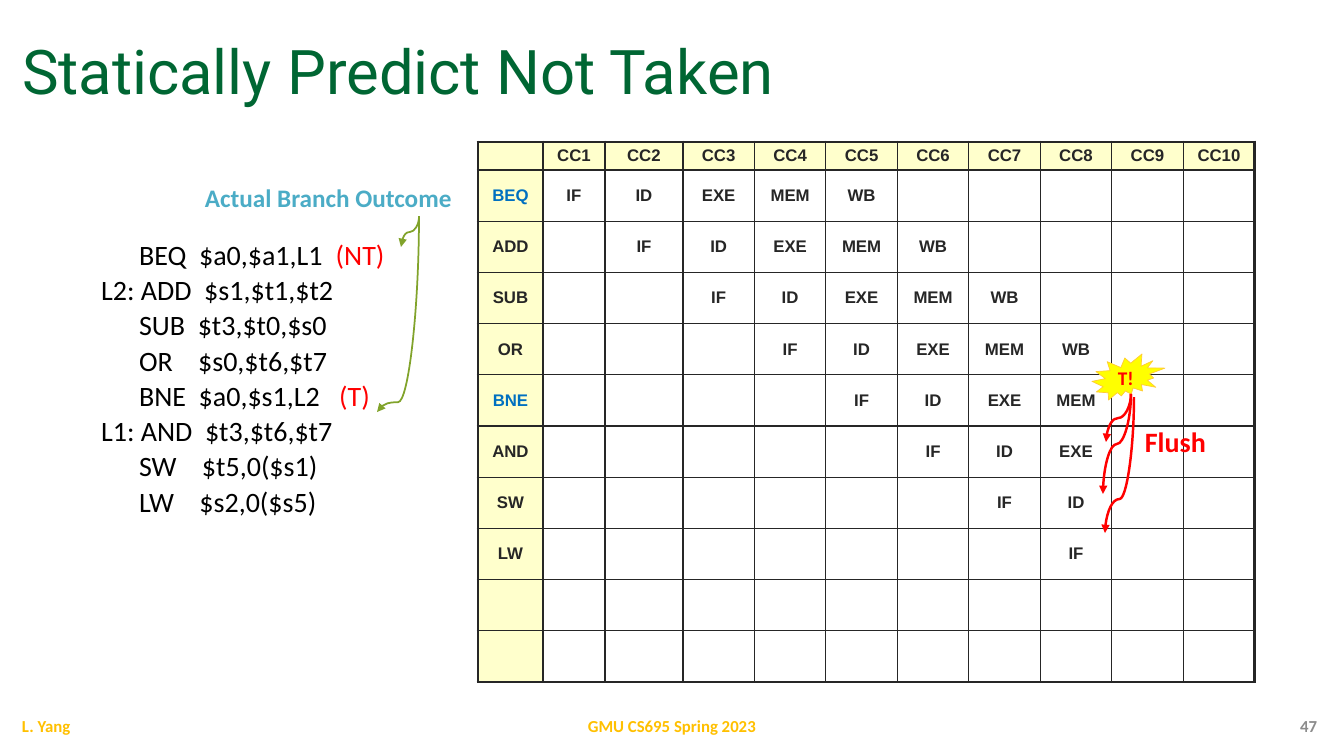
from dataclasses import dataclass

from lxml.etree import SubElement
from pptx import Presentation
from pptx.dml.color import RGBColor
from pptx.enum.shapes import MSO_CONNECTOR, MSO_SHAPE
from pptx.enum.text import MSO_ANCHOR, MSO_AUTO_SIZE, PP_ALIGN
from pptx.oxml.ns import qn
from pptx.util import Emu, Pt


@dataclass(frozen=True)
class Theme:
    title_font: str = "Roboto"
    body_font: str = "Calibri"
    table_font: str = "Arial"
    title: str = "006633"
    black: str = "000000"
    white: str = "FFFFFF"
    red: str = "FF0000"
    ink: str = "262626"
    branch: str = "0070C0"
    header: str = "FFFFCC"
    outcome: str = "4BACC6"
    green: str = "81A32B"
    burst: str = "FFFF00"
    burst_line: str = "FFCC33"
    gold: str = "FFC000"
    gray: str = "8C8C8C"
    title_size: float = 44
    code_size: float = 20
    label_size: float = 18
    burst_size: float = 13.8
    small_size: float = 12


T = Theme()
TITLE = "Statically Predict Not Taken"
CODE = [
    ("      BEQ  $a0,$a1,L1  ", "(NT)"),
    ("L2: ADD  $s1,$t1,$t2", ""),
    ("      SUB  $t3,$t0,$s0", ""),
    ("      OR    $s0,$t6,$t7", ""),
    ("      BNE  $a0,$s1,L2   ", "(T)"),
    ("L1: AND  $t3,$t6,$t7", ""),
    ("      SW    $t5,0($s1)", ""),
    ("      LW    $s2,0($s5)", ""),
]
INSTRUCTIONS = ["BEQ", "ADD", "SUB", "OR", "BNE", "AND", "SW", "LW", "", ""]
BRANCHES = ("BEQ", "BNE")
STAGES = ["IF", "ID", "EXE", "MEM", "WB"]
CYCLES, LAST_CYCLE = 10, 8

TABLE = (478, 142, 777, 540)
FIRST_COLS = [65, 62, 78]
HEADER_H = 28
LABELS = [
    ("Actual Branch Outcome", (195, 177, 269, 40), T.label_size, T.outcome, PP_ALIGN.LEFT, False),
    ("Flush", (1135, 420, 83, 45), T.code_size, T.red, PP_ALIGN.LEFT, False),
    ("L. Yang", (12, 706, 302, 40), T.small_size, T.gold, PP_ALIGN.LEFT, True),
    ("GMU CS695 Spring 2023", (445, 706, 454, 40), T.small_size, T.gold, PP_ALIGN.CENTER, True),
    ("47", (1025, 706, 302, 40), T.small_size, T.gray, PP_ALIGN.RIGHT, True),
]
OUTCOME_ARROWS = [
    ((419, 217), (401, 247), 50),
    ((419, 216), (377, 412), 95),
]
FLUSH_ARROWS = [
    ((1131, 394), (1106, 442), 50),
    ((1131, 394), (1103, 494), 50),
    ((1134, 397), (1105, 533), 75),
]


def px(n):
    return Emu(round(n * 9144000 / 1008))


def rgb(value):
    return RGBColor.from_string(value)


def style(r, size, color, font=T.body_font, bold=False):
    r.font.size = Pt(size)
    r.font.name = font
    r.font.bold = bold
    r.font.color.rgb = rgb(color)


def place(s, box):
    s.left, s.top, s.width, s.height = map(px, box)


def add_label(shapes, text, box, size, color, align, wrap):
    tf = shapes.add_textbox(*map(px, box)).text_frame
    tf.word_wrap = wrap
    tf.vertical_anchor = MSO_ANCHOR.MIDDLE if wrap else MSO_ANCHOR.TOP
    tf.text = text
    tf.paragraphs[0].alignment = align
    style(tf.paragraphs[0].runs[0], size, color, bold=True)


def add_curve(shapes, start, end, bend, color, width):
    (x1, y1), (x2, y2) = start, end
    cx, cy = (x1 + x2) / 2, (y1 + y2) / 2
    half_w, half_h = (y2 - y1) / 2, (x1 - x2) / 2
    s = shapes.add_connector(MSO_CONNECTOR.CURVE, px(cx - half_w), px(cy - half_h),
                             px(cx + half_w), px(cy + half_h))
    s.line.color.rgb = rgb(color)
    s.line.width = Pt(width)
    sp_pr = s._element.spPr
    sp_pr.find(qn("a:xfrm")).set("rot", "5400000")
    guides = sp_pr.find(qn("a:prstGeom")).find(qn("a:avLst"))
    SubElement(guides, qn("a:gd"), name="adj1", fmla=f"val {bend * 1000}")
    SubElement(sp_pr.find(qn("a:ln")), qn("a:tailEnd"), type="triangle")
    SubElement(sp_pr, qn("a:effectLst"))


def set_borders(cell, widths):
    tc_pr = cell._tc.get_or_add_tcPr()
    for side, width in widths.items():
        ln = SubElement(tc_pr, qn(f"a:ln{side}"), w=str(Pt(width)))
        SubElement(SubElement(ln, qn("a:solidFill")), qn("a:srgbClr"), val=T.ink)


def cell_text(row, col):
    if row == 0:
        return f"CC{col}" if col else ""
    if col == 0:
        return INSTRUCTIONS[row - 1]
    active = INSTRUCTIONS[row - 1] and col <= LAST_CYCLE
    return STAGES[col - row] if active and 0 <= col - row < len(STAGES) else ""


def add_pipeline(shapes):
    rows, cols = len(INSTRUCTIONS) + 1, CYCLES + 1
    table = shapes.add_table(rows, cols, *map(px, TABLE)).table
    rest = (TABLE[2] - sum(FIRST_COLS)) / (cols - len(FIRST_COLS))
    for c, column in enumerate(table.columns):
        column.width = px(FIRST_COLS[c] if c < len(FIRST_COLS) else rest)
    for r, row in enumerate(table.rows):
        row.height = px((TABLE[3] - HEADER_H) / (rows - 1) if r else HEADER_H)
        for c, cell in enumerate(row.cells):
            set_borders(cell, {
                "L": 1 if c else 2.25,
                "R": 2.25 if c == cols - 1 else 1,
                "T": 1 if r else 2.25,
                "B": 2.25 if r == rows - 1 else 1,
            })
            cell.fill.solid()
            cell.fill.fore_color.rgb = rgb(T.white if r and c else T.header)
            cell.margin_left = cell.margin_right = px(4)
            cell.margin_top = cell.margin_bottom = px(2)
            cell.vertical_anchor = MSO_ANCHOR.MIDDLE
            p = cell.text_frame.paragraphs[0]
            text = cell_text(r, c)
            p.alignment = PP_ALIGN.CENTER
            if text:
                p.text = text
                style(p.runs[0], T.small_size, T.branch if text in BRANCHES else T.ink,
                      T.table_font, True)
            else:
                SubElement(p._p, qn("a:endParaRPr"), sz=str(T.small_size * 100))


def add_code(s):
    place(s, (91, 236, 370, 300))
    tf = s.text_frame
    tf.auto_size = MSO_AUTO_SIZE.NONE
    tf.vertical_anchor = MSO_ANCHOR.TOP
    for i, (code, outcome) in enumerate(CODE):
        p = tf.paragraphs[0] if i == 0 else tf.add_paragraph()
        p.line_spacing = 0.9
        p.space_before = Pt(3.6 if i else 0)
        p_pr = p._p.get_or_add_pPr()
        p_pr.set("marL", str(px(37)))
        p_pr.set("indent", str(-px(37)))
        SubElement(p_pr, qn("a:buNone"))
        for text, color in ((code, T.black), (outcome, T.red)):
            if text:
                r = p.add_run()
                r.text = text
                style(r, T.code_size, color)


def add_burst(shapes):
    s = shapes.add_shape(MSO_SHAPE.EXPLOSION2, *map(px, (1092, 354, 73, 46)))
    s.shadow.inherit = False
    s.fill.solid()
    s.fill.fore_color.rgb = rgb(T.burst)
    s.line.color.rgb = rgb(T.burst_line)
    s.line.width = Pt(0.5)
    tf = s.text_frame
    tf.margin_left = tf.margin_right = tf.margin_top = tf.margin_bottom = 0
    tf.vertical_anchor = MSO_ANCHOR.MIDDLE
    tf.text = "T!"
    tf.paragraphs[0].alignment = PP_ALIGN.CENTER
    style(tf.paragraphs[0].runs[0], T.burst_size, T.red, bold=True)


def main():
    prs = Presentation()
    prs.slide_width, prs.slide_height = px(1344), px(756)
    slide = prs.slides.add_slide(prs.slide_layouts[1])
    shapes = slide.shapes
    place(shapes.title, (12, 17, 1315, 96))
    tf = shapes.title.text_frame
    tf.auto_size = MSO_AUTO_SIZE.NONE
    tf.vertical_anchor = MSO_ANCHOR.BOTTOM
    tf.text = TITLE
    p = tf.paragraphs[0]
    p.alignment = PP_ALIGN.LEFT
    p.line_spacing = 0.9
    style(p.runs[0], T.title_size, T.title, T.title_font)
    add_code(slide.placeholders[1])
    add_pipeline(shapes)
    for arrow in OUTCOME_ARROWS:
        add_curve(shapes, *arrow, T.green, 1.25)
    add_burst(shapes)
    for arrow in FLUSH_ARROWS:
        add_curve(shapes, *arrow, T.red, 1.75)
    for label in LABELS:
        add_label(shapes, *label)
    prs.save("out.pptx")


if __name__ == "__main__":
    main()
